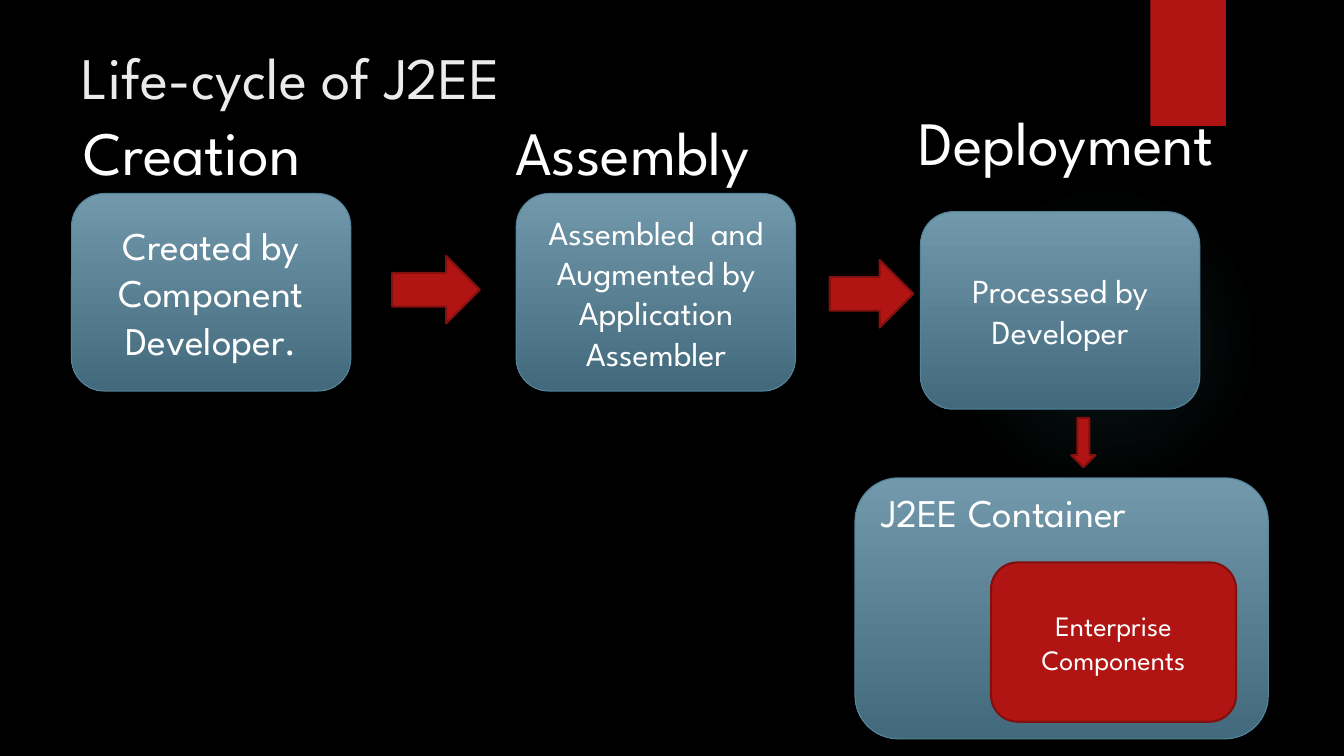
"""Build the slide on the life-cycle of J2EE."""
from dataclasses import dataclass

from pptx import Presentation
from pptx.dml.color import RGBColor as Color
from pptx.enum.shapes import MSO_SHAPE as Kind
from pptx.enum.text import MSO_ANCHOR as Anchor, MSO_AUTO_SIZE as Auto, PP_ALIGN as Align
from pptx.oxml import parse_xml
from pptx.util import Inches, Pt


@dataclass(frozen=True)
class Theme:
    font: str = "League Spartan"
    black: str = "000000"
    white: str = "FFFFFF"
    pale: str = "EBEBEB"
    red: str = "B01513"
    wine: str = "82100E"
    sky: str = "7198AB"
    steel: str = "436A7C"
    edge: str = "54849A"
    glow: str = "50B9C1"
    title: int = 42
    head: int = 44
    large: int = 28
    body: int = 24
    small: int = 20


theme = Theme()
deck = Presentation()
deck.slide_width, deck.slide_height = Inches(13.33), Inches(7.5)
slide = deck.slides.add_slide(deck.slide_layouts[5])
slide.background.fill.solid()
slide.background.fill.fore_color.rgb = Color.from_string(theme.black)


def write(frame, text, size, color=theme.white, align=Align.LEFT, anchor=Anchor.TOP):
    """Put one styled paragraph in a text frame."""
    frame.text = text
    frame.vertical_anchor = anchor
    para = frame.paragraphs[0]
    para.alignment = align
    para.font.name = theme.font
    para.font.size = Pt(size)
    para.font.color.rgb = Color.from_string(color)


def draw(kind, spot, colors, edge=None, width=0, text="", size=theme.body):
    """Add a preset shape with a plain or two-colour fill."""
    shape = slide.shapes.add_shape(kind, *map(Inches, spot))
    shape.shadow.inherit = False
    if len(colors) == 1:
        shape.fill.solid()
        shape.fill.fore_color.rgb = Color.from_string(colors[0])
    else:
        shape.fill.gradient()
        shape.fill.gradient_angle = 270
        for stop, color, place in zip(shape.fill.gradient_stops, colors, (0, 1)):
            stop.color.rgb = Color.from_string(color)
            stop.position = place
    if edge:
        shape.line.color.rgb = Color.from_string(edge)
        shape.line.width = Pt(width)
    else:
        shape.line.fill.background()
    if text:
        shape.text_frame.word_wrap = True
        write(shape.text_frame, text, size, align=Align.CENTER, anchor=Anchor.MIDDLE)
    return shape


halo = draw(Kind.OVAL, (9.41, 1.83, 3.08, 3.08), [theme.glow])
stops = "".join(
    f'<a:gs pos="{place}000"><a:srgbClr val="{theme.glow}"><a:alpha val="{alpha}000"/></a:srgbClr></a:gs>'
    for place, alpha in ((0, 7), (36, 6), (69, 0))
)
blend = parse_xml(
    '<a:gradFill xmlns:a="http://schemas.openxmlformats.org/drawingml/2006/main">'
    f'<a:gsLst>{stops}</a:gsLst><a:path path="circle">'
    '<a:fillToRect l="50000" t="50000" r="50000" b="50000"/></a:path></a:gradFill>'
)
props = halo.element.spPr
props.replace(props.find("{*}solidFill"), blend)

draw(Kind.RECTANGLE, (11.41, 0, 0.75, 1.25), [theme.red])

title = slide.shapes.title
title.left, title.top, title.width, title.height = map(Inches, (0.71, 0.35, 5.29, 0.73))
title.text_frame.auto_size = Auto.NONE
write(title.text_frame, "Life-cycle of J2EE", theme.title, theme.pale)

blues = [theme.sky, theme.steel]
for left, top, text, size in (
    (0.71, 1.92, "Created by Component Developer.", theme.large),
    (5.12, 1.92, "Assembled  and Augmented by Application Assembler", theme.body),
    (9.13, 2.1, "Processed by Developer", theme.body),
):
    draw(Kind.ROUNDED_RECTANGLE, (left, top, 2.77, 1.96), blues, theme.edge, 0.75, text, size)

draw(Kind.ROUNDED_RECTANGLE, (8.48, 4.74, 4.1, 2.59), blues, theme.edge, 0.75)
draw(Kind.ROUNDED_RECTANGLE, (9.83, 5.58, 2.43, 1.58), [theme.red], theme.wine, 1.5,
     "Enterprise Components", theme.small)

for spot, turn in (
    ((3.89, 2.54, 0.87, 0.67), 0),
    ((8.23, 2.58, 0.83, 0.67), 0),
    ((10.5, 4.27, 0.49, 0.24), 90),
):
    draw(Kind.RIGHT_ARROW, spot, [theme.red], theme.wine, 1.5).rotation = turn

for spot, text, size, wrap in (
    ((0.73, 1.08, 2.82, 0.84), "Creation", theme.head, False),
    ((5.01, 1.08, 2.99, 0.84), "Assembly", theme.head, False),
    ((9.01, 0.98, 3.91, 0.84), "Deployment", theme.head, False),
    ((8.64, 4.8, 3.21, 0.57), "J2EE Container", theme.large, True),
):
    frame = slide.shapes.add_textbox(*map(Inches, spot)).text_frame
    frame.word_wrap = wrap
    frame.auto_size = Auto.SHAPE_TO_FIT_TEXT
    write(frame, text, size)

deck.save("out.pptx")
